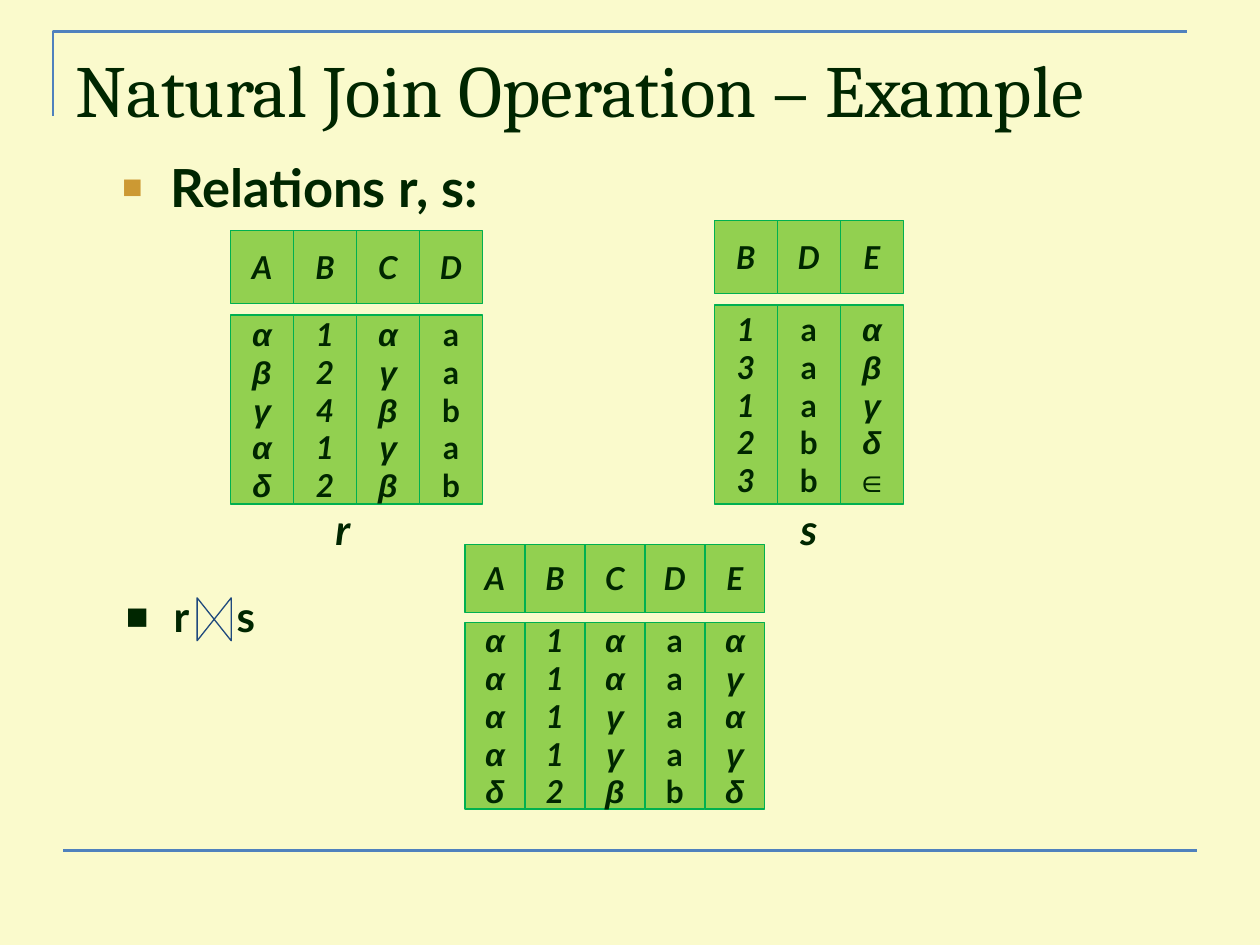
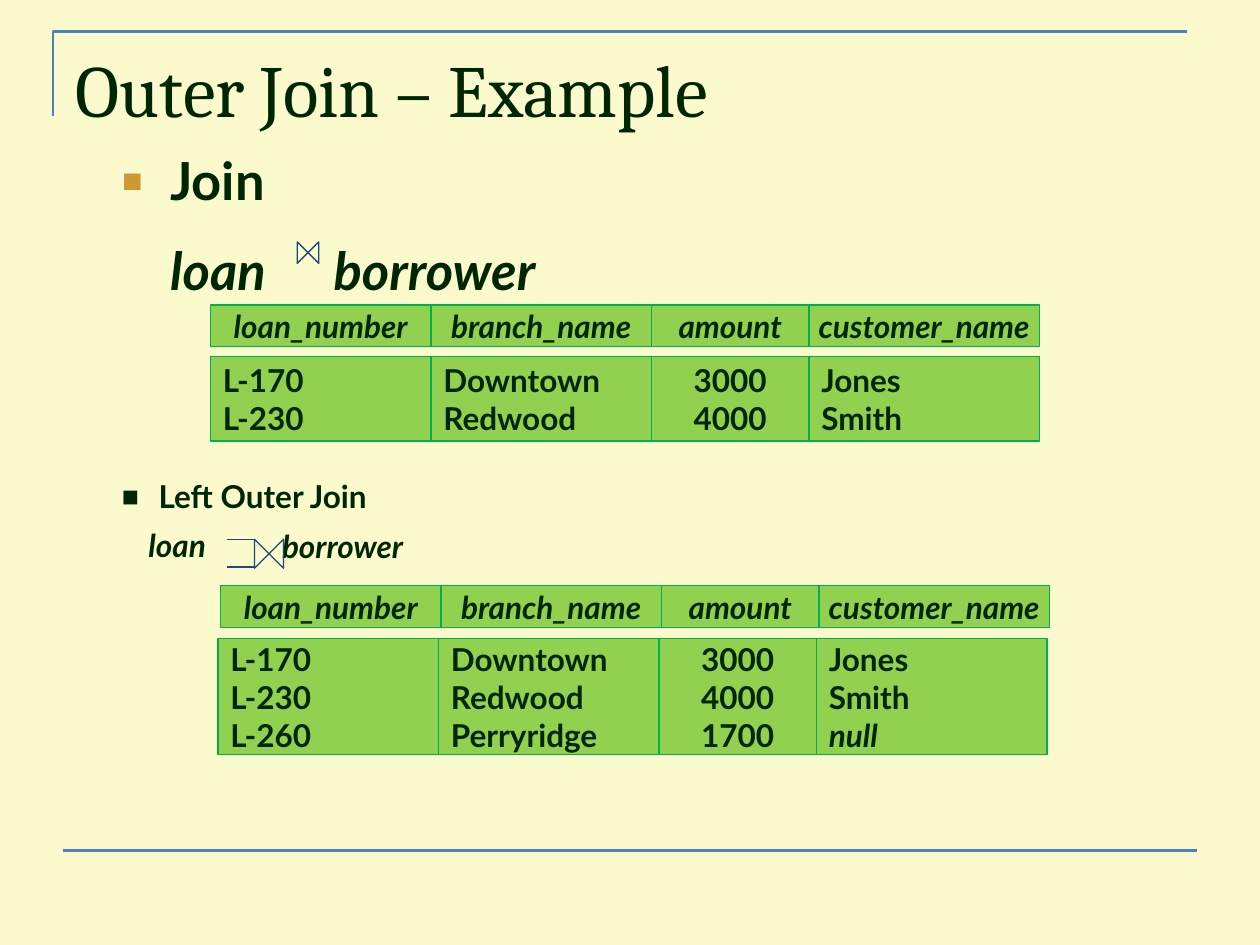
import pptx
import pptx.util
import pptx.dml.color
import pptx.enum.shapes
import pptx.enum.text
import pptx.oxml
import pptx.oxml.ns
from pptx.util import Inches

INK, PAPER, RULE, SYMBOL = "002600", "FAFACC", "4F81BD", "1F497D"
CELL, CELL_EDGE, GOLD = "92D050", "00B050", "CC9933"
ALIGN = pptx.enum.text.PP_ALIGN
ANCHOR = pptx.enum.text.MSO_ANCHOR
SHAPE = pptx.enum.shapes.MSO_SHAPE

PLAIN = {"name": "Lato", "size": 18, "bold": True}
SLANTED = {**PLAIN, "italic": True}
GREEK = {**SLANTED, "name": "Arial"}
TITLE = {"name": "Cambria", "size": 42, "bold": False}
LEAD = {**PLAIN, "size": 30}
LEAD_SLANTED = {**LEAD, "italic": True}
TERM = {**PLAIN, "size": 24}
CAPTION = {**TERM, "italic": True}

LOAN_WIDTHS = [1.75, 1.75, 1.25, 1.83]


def loan_columns(numbers, branches, amounts, customers):
    return [
        ("loan_number", numbers, PLAIN, ALIGN.LEFT),
        ("branch_name", branches, PLAIN, ALIGN.LEFT),
        ("amount", amounts, PLAIN, ALIGN.CENTER),
        ("customer_name", customers, PLAIN, ALIGN.LEFT),
    ]


def letter_columns(*columns):
    return [(heading, list(values), style, ALIGN.CENTER) for heading, values, style in columns]


RELATION_R = {
    "left": 1.83, "body_left": 1.83, "head": (1.83, 0.58), "body": (2.5, 1.5),
    "widths": [0.5] * 4,
    "columns": letter_columns(
        ("A", "αβγαδ", GREEK), ("B", "12412", SLANTED),
        ("C", "αγβγβ", GREEK), ("D", "aabab", PLAIN)),
}
RELATION_S = {
    "left": 5.67, "body_left": 5.67, "head": (1.75, 0.58), "body": (2.42, 1.58),
    "widths": [0.5] * 3,
    "columns": letter_columns(
        ("B", "13123", SLANTED), ("D", "aaabb", PLAIN), ("E", "αβγδ∈", GREEK)),
}
NATURAL_JOIN = {
    "left": 3.69, "body_left": 3.69, "head": (4.32, 0.54), "body": (4.94, 1.48),
    "widths": [2.38 / 5] * 5,
    "columns": letter_columns(
        ("A", "ααααδ", GREEK), ("B", "11112", SLANTED), ("C", "ααγγβ", GREEK),
        ("D", "aaaab", PLAIN), ("E", "αγαγδ", GREEK)),
}
INNER_JOIN = {
    "left": 1.67, "body_left": 1.67, "head": (2.42, 0.33), "body": (2.83, 0.67),
    "widths": LOAN_WIDTHS,
    "columns": loan_columns(
        ["L-170", "L-230"], ["Downtown", "Redwood"], ["3000", "4000"], ["Jones", "Smith"]),
}
LEFT_OUTER_JOIN = {
    "left": 1.75, "body_left": 1.73, "head": (4.65, 0.33), "body": (5.07, 0.92),
    "widths": LOAN_WIDTHS,
    "columns": loan_columns(
        ["L-170", "L-230", "L-260"], ["Downtown", "Redwood", "Perryridge"],
        ["3000", "4000", "1700"], ["Jones", "Smith", "null"]),
}


def color(value):
    return pptx.dml.color.RGBColor.from_string(value)


def place(shape, left, top, width, height):
    values = {"left": left, "top": top, "width": width, "height": height}
    for name, value in values.items():
        setattr(shape, name, Inches(value))


def write(para, text, style, align=ALIGN.LEFT):
    para.alignment = align
    span = para.add_run()
    span.text = text
    for name, value in style.items():
        setattr(span.font, name, pptx.util.Pt(value) if name == "size" else value)
    span.font.color.rgb = color(INK)


def set_frame(shape, anchor=ANCHOR.TOP, wrap=True):
    frame = shape.text_frame
    values = {"vertical_anchor": anchor, "word_wrap": wrap,
              "auto_size": pptx.enum.text.MSO_AUTO_SIZE.NONE}
    for name, value in values.items():
        setattr(frame, name, value)
    return frame


def indent(para, margin, bullet=None):
    properties = para._p.get_or_add_pPr()
    properties.set("marL", str(Inches(margin)))
    properties.set("indent", str(-Inches(margin) if bullet else 0))
    space = pptx.oxml.ns.nsdecls("a")
    parts = [f"<a:buNone {space}/>"]
    if bullet:
        tint, percent = bullet
        parts = [
            f'<a:buClr {space}><a:srgbClr val="{tint}"/></a:buClr>',
            f'<a:buSzPct {space} val="{percent * 1000}"/>',
            f'<a:buFont {space} typeface="Arial"/>',
            f'<a:buChar {space} char="■"/>',
        ]
    for part in parts:
        properties.append(pptx.oxml.parse_xml(part))


def stroke(shape, tint, width):
    shape.line.color.rgb = color(tint)
    shape.line.width = pptx.util.Pt(width)


def add_line(page, start, end, tint, width):
    line = page.shapes.add_connector(
        pptx.enum.shapes.MSO_CONNECTOR.STRAIGHT, *map(Inches, start + end))
    stroke(line, tint, width)
    line._element.spPr.append(
        pptx.oxml.parse_xml(f"<a:effectLst {pptx.oxml.ns.nsdecls('a')}/>"))
    return line


def add_label(page, area, text, style, align=ALIGN.LEFT, anchor=ANCHOR.TOP):
    box = page.shapes.add_textbox(*map(Inches, area))
    para = set_frame(box, anchor, align == ALIGN.LEFT).paragraphs[0]
    write(para, text, style, align)
    return box


def add_cell(page, area, lines, style, align):
    box = page.shapes.add_shape(SHAPE.RECTANGLE, *map(Inches, area))
    box.shadow.inherit = False
    box.fill.solid()
    box.fill.fore_color.rgb = color(CELL)
    stroke(box, CELL_EDGE, 0.75)
    frame = set_frame(box, ANCHOR.MIDDLE, False)
    for number, line in enumerate(lines):
        para = frame.add_paragraph() if number else frame.paragraphs[0]
        write(para, line, SLANTED if line == "null" else style, align)


def add_relation(page, relation):
    offset = 0
    for width, (heading, values, style, align) in zip(relation["widths"], relation["columns"]):
        top, height = relation["head"]
        add_cell(page, (relation["left"] + offset, top, width, height),
                 [heading], SLANTED, ALIGN.CENTER)
        top, height = relation["body"]
        add_cell(page, (relation["body_left"] + offset, top, width, height),
                 values, style, align)
        offset += width


def add_bowtie(page, left, top, width, height):
    bowtie = page.shapes.add_shape(
        SHAPE.FLOWCHART_COLLATE, *map(Inches, (left, top, width, height)))
    bowtie.rotation = 270
    bowtie.shadow.inherit = False
    bowtie.fill.background()
    stroke(bowtie, SYMBOL, 0.75)


def add_rules(page, layout):
    corner = page.shapes.build_freeform(Inches(0.42), Inches(0.92))
    corner.add_line_segments(
        [(Inches(0.42), Inches(0.25)), (Inches(9.42), Inches(0.25))], close=False)
    bracket = corner.convert_to_shape()
    bracket.shadow.inherit = False
    bracket.fill.background()
    stroke(bracket, RULE, 1.5)
    footer = add_line(page, (0.5, 6.75), (9.5, 6.75), RULE, 1.5)
    for shape in (footer, bracket):
        layout.element.cSld.spTree.insert(2, shape._element)


def add_page(deck, title, lead, body_area):
    page = deck.slides.add_slide(deck.slide_layouts[1])
    heading, body = page.placeholders
    place(heading, 0.5, 0.3, 9, 1.25)
    write(set_frame(heading).paragraphs[0], title, TITLE)
    place(body, *body_area)
    frame = set_frame(body)
    para = frame.paragraphs[0]
    write(para, lead, LEAD)
    para.space_before = pptx.util.Pt(6)
    indent(para, 0.38, (GOLD, 65))
    return page, frame


def build_natural_join(deck):
    page, _ = add_page(deck, "Natural Join Operation – Example", "Relations r, s:",
                       (0.87, 1.18, 7.48, 0.42))
    for relation in (RELATION_R, RELATION_S, NATURAL_JOIN):
        add_relation(page, relation)
    for name, center in (("r", 2.72), ("s", 6.42)):
        add_label(page, (center - 0.2, 3.95, 0.4, 0.5), name, CAPTION,
                  ALIGN.CENTER, ANCHOR.MIDDLE)
    operand = add_label(page, (0.9, 4.64, 0.8, 0.45), "r", TERM)
    indent(operand.text_frame.paragraphs[0], 0.38, (INK, 90))
    add_label(page, (1.78, 4.64, 0.5, 0.45), "s", TERM)
    add_bowtie(page, 1.53, 4.78, 0.34, 0.27)
    return page


def build_outer_join(deck):
    page, frame = add_page(deck, "Outer Join – Example", "Join", (0.87, 1.18, 7.64, 1.24))
    frame.paragraphs[0].line_spacing = 0.9
    para = frame.add_paragraph()
    write(para, "loan", LEAD_SLANTED)
    para.line_spacing = 0.9
    para.space_before = pptx.util.Pt(19)
    indent(para, 0.38)
    add_label(page, (2.55, 1.84, 2.5, 0.58), "borrower", LEAD_SLANTED)
    add_bowtie(page, 2.36, 1.92, 0.17, 0.17)
    for relation in (INNER_JOIN, LEFT_OUTER_JOIN):
        add_relation(page, relation)

    outer = add_label(page, (0.87, 3.74, 4.63, 0.79), "Left Outer Join", PLAIN).text_frame
    indent(outer.paragraphs[0], 0.29, (INK, 90))
    para = outer.add_paragraph()
    write(para, "loan", SLANTED)
    para.space_before = pptx.util.Pt(6.3)
    indent(para, 0.21)
    add_label(page, (2.14, 4.13, 1.5, 0.4), "borrower", SLANTED)
    add_bowtie(page, 2.02, 4.28, 0.23, 0.23)
    for height in (4.28, 4.5):
        add_line(page, (2.02, height), (1.8, height), SYMBOL, 0.75)


def main():
    deck = pptx.Presentation()
    deck.slide_width, deck.slide_height = Inches(10), Inches(7.5)
    fill = deck.slide_master.background.fill
    fill.solid()
    fill.fore_color.rgb = color(PAPER)
    page = build_natural_join(deck)
    add_rules(page, page.slide_layout)
    build_outer_join(deck)
    deck.save("out.pptx")


if __name__ == "__main__":
    main()
